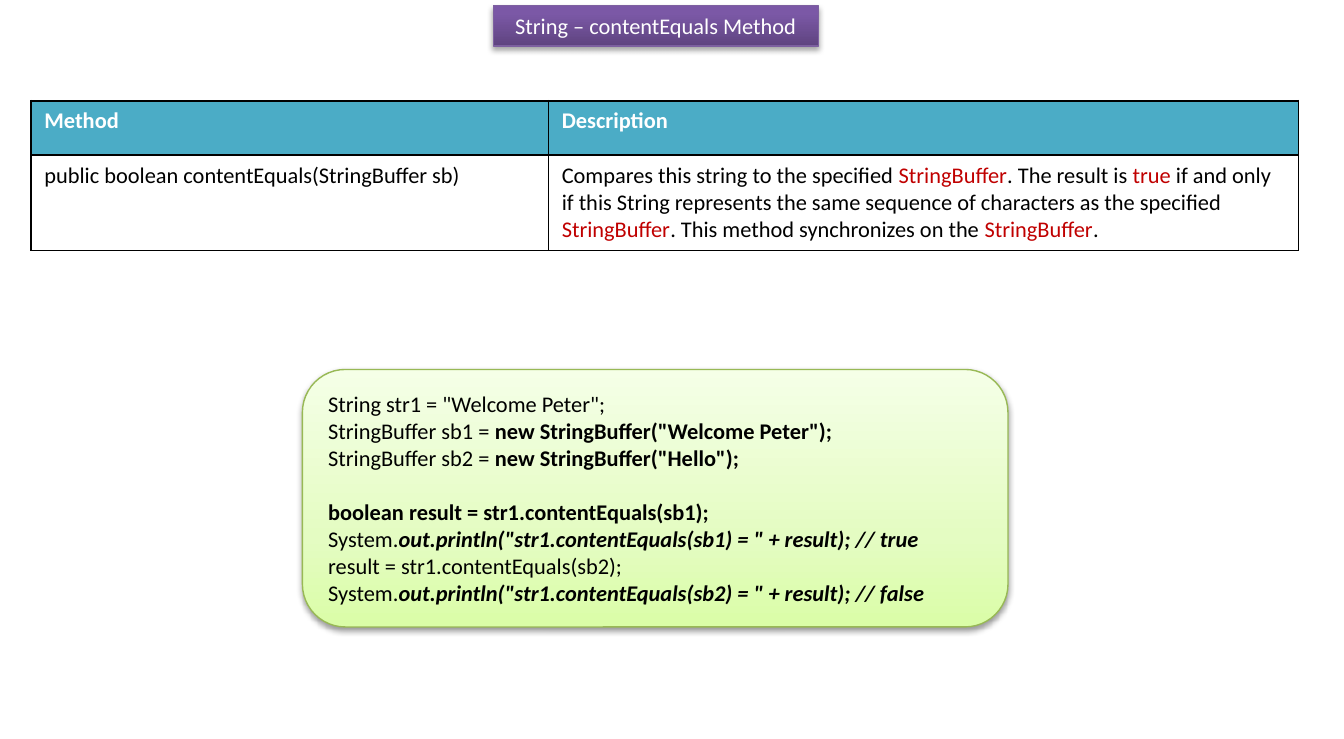
from copy import deepcopy
from dataclasses import dataclass

from lxml import etree
from pptx import Presentation
from pptx.dml.color import RGBColor
from pptx.enum.shapes import MSO_SHAPE
from pptx.enum.text import MSO_ANCHOR, PP_ALIGN
from pptx.oxml.ns import qn
from pptx.util import Pt

ROUNDED = MSO_SHAPE.ROUNDED_RECTANGLE
MIDDLE = MSO_ANCHOR.MIDDLE
TOP = MSO_ANCHOR.TOP
LEFT = PP_ALIGN.LEFT
CENTER = PP_ALIGN.CENTER
TITLE_ONLY = 5


@dataclass(frozen=True)
class Theme:
    font: str = "Calibri"
    size: float = 12
    code_gap: float = 14.6
    black: str = "000000"
    white: str = "FFFFFF"
    keyword: str = "C00000"
    header: str = "4BACC6"
    title_line: str = "7D60A0"
    title_stops: tuple = ((0, "5F4480"), (0.8, "7B58A6"), (1, "7C57A8"))
    code_line: str = "98B955"
    code_stops: tuple = ((0, "DAFDA7"), (0.35, "E4FCC2"), (1, "F5FFE7"))


THEME = Theme()
BOLD = {"bold": True}
BOLD_ITALIC = {"bold": True, "italic": True}
KEYWORD = {"color": THEME.keyword}

HEADINGS = ("Method", "Description")
SIGNATURE = [("public boolean contentEquals(StringBuffer sb)", {})]
DESCRIPTION = [
    ("Compares this string to the specified ", {}),
    ("StringBuffer", KEYWORD),
    (". The result is ", {}),
    ("true", KEYWORD),
    (" if and only if this String represents the same sequence of "
     "characters as the specified ", {}),
    ("StringBuffer", KEYWORD),
    (". This method synchronizes on the ", {}),
    ("StringBuffer", KEYWORD),
    (".", {}),
]
CODE_BLOCKS = [
    [
        [('String str1 = "Welcome Peter";', {})],
        [("StringBuffer sb1 = ", {}), ('new StringBuffer("Welcome Peter");', BOLD)],
        [("StringBuffer sb2 = ", {}), ('new StringBuffer("Hello");', BOLD)],
    ],
    [
        [("boolean result = str1.contentEquals(sb1);", BOLD)],
        [("System.", {}),
         ('out.println("str1.contentEquals(sb1) = " + result); // true', BOLD_ITALIC)],
        [("result = str1.contentEquals(sb2);", {})],
        [("System.", {}),
         ('out.println("str1.contentEquals(sb2) = " + result); // false', BOLD_ITALIC)],
    ],
]


def write_runs(paragraph, runs, color=THEME.black):
    """Append (text, format) pairs; a format may override the colour."""
    for text, style in runs:
        run = paragraph.add_run()
        run.text = text
        settings = {"name": THEME.font, "size": Pt(THEME.size),
                    "bold": False, "italic": False, **style}
        run_color = settings.pop("color", color)
        for attribute, value in settings.items():
            setattr(run.font, attribute, value)
        run.font.color.rgb = RGBColor.from_string(run_color)


def style_panel(shape, stops, line_color, shadow_opacity, shadow_distance):
    """Give a shape a bottom-to-top gradient, a thin outline and a soft shadow."""
    shape.fill.gradient()
    shape.fill.gradient_angle = 90
    first_stop = shape._element.spPr.find(".//" + qn("a:gs"))
    first_stop.addnext(deepcopy(first_stop))
    for stop, (position, color) in zip(shape.fill.gradient_stops, stops):
        stop.position = position
        stop.color.rgb = RGBColor.from_string(color)
    shape.line.color.rgb = RGBColor.from_string(line_color)
    shape.line.width = Pt(0.75)

    shape.shadow.inherit = False
    effects = shape._element.spPr.find(qn("a:effectLst"))
    shadow = etree.SubElement(
        effects, qn("a:outerShdw"), blurRad=str(Pt(3.1)),
        dist=str(Pt(shadow_distance)), dir="5400000", rotWithShape="0")
    color = etree.SubElement(shadow, qn("a:srgbClr"), val=THEME.black)
    etree.SubElement(color, qn("a:alpha"), val=str(shadow_opacity * 1000))


def add_title(slide):
    title = slide.shapes.title
    place = {"left": 264.25, "top": 2.9, "width": 174.25, "height": 21.8}
    for attribute, value in place.items():
        setattr(title, attribute, Pt(value))
    style_panel(title, THEME.title_stops, THEME.title_line, 35, 1.8)
    title.text_frame.vertical_anchor = TOP
    paragraph = title.text_frame.paragraphs[0]
    paragraph.alignment = CENTER
    write_runs(paragraph, [("String – contentEquals Method", {})], THEME.white)


def add_code_panel(slide):
    panel = slide.shapes.add_shape(ROUNDED, Pt(162), Pt(198), Pt(378), Pt(138))
    style_panel(panel, THEME.code_stops, THEME.code_line, 38, 1.6)
    frame = panel.text_frame
    frame.word_wrap = True
    frame.vertical_anchor = MIDDLE
    paragraph = None
    for block in CODE_BLOCKS:
        for index, line in enumerate(block):
            if paragraph is None:
                paragraph = frame.paragraphs[0]
            else:
                paragraph = frame.add_paragraph()
                paragraph.space_before = Pt(0 if index else THEME.code_gap)
            paragraph.alignment = LEFT
            write_runs(paragraph, line)


def add_borders(cell):
    properties = cell._tc.get_or_add_tcPr()
    for index, side in enumerate(("lnL", "lnR", "lnT", "lnB")):
        border = etree.Element(qn("a:" + side), w=str(Pt(1)))
        fill = etree.SubElement(border, qn("a:solidFill"))
        etree.SubElement(fill, qn("a:srgbClr"), val=THEME.black)
        properties.insert(index, border)


def add_method_table(slide):
    widths, heights = (277.2, 401.8), (29.2, 50.7)
    table = slide.shapes.add_table(
        2, 2, Pt(16.55), Pt(54), Pt(sum(widths)), Pt(sum(heights))).table
    for column, width in zip(table.columns, widths):
        column.width = Pt(width)
    for row, height in zip(table.rows, heights):
        row.height = Pt(height)
    rows = [
        ([[(heading, BOLD)] for heading in HEADINGS], THEME.header, THEME.white),
        ([SIGNATURE, DESCRIPTION], THEME.white, THEME.black),
    ]
    for row, (contents, background, color) in zip(table.rows, rows):
        for cell, runs in zip(row.cells, contents):
            cell.fill.solid()
            cell.fill.fore_color.rgb = RGBColor.from_string(background)
            add_borders(cell)
            write_runs(cell.text_frame.paragraphs[0], runs, color)


def main():
    presentation = Presentation()
    presentation.slide_width = Pt(720)
    presentation.slide_height = Pt(396)
    slide = presentation.slides.add_slide(presentation.slide_layouts[TITLE_ONLY])
    add_title(slide)
    add_code_panel(slide)
    add_method_table(slide)
    presentation.save("out.pptx")


if __name__ == "__main__":
    main()
